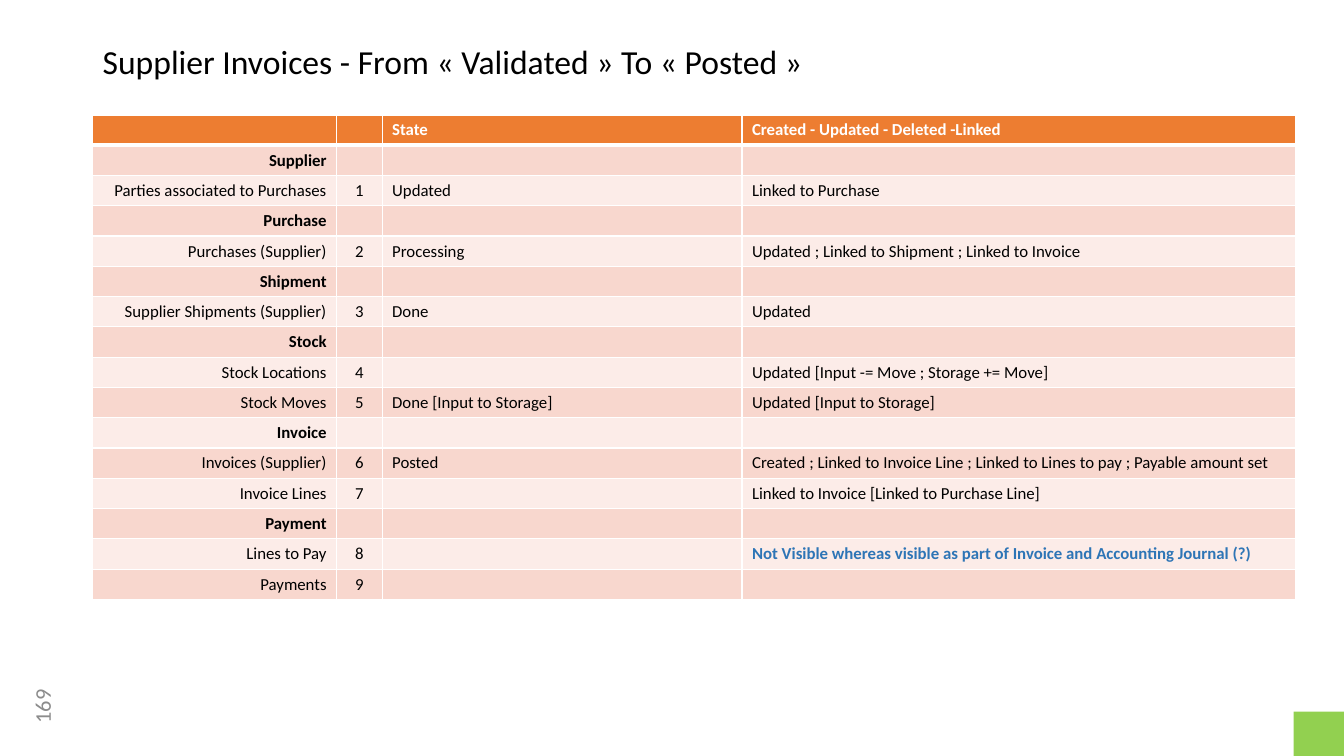
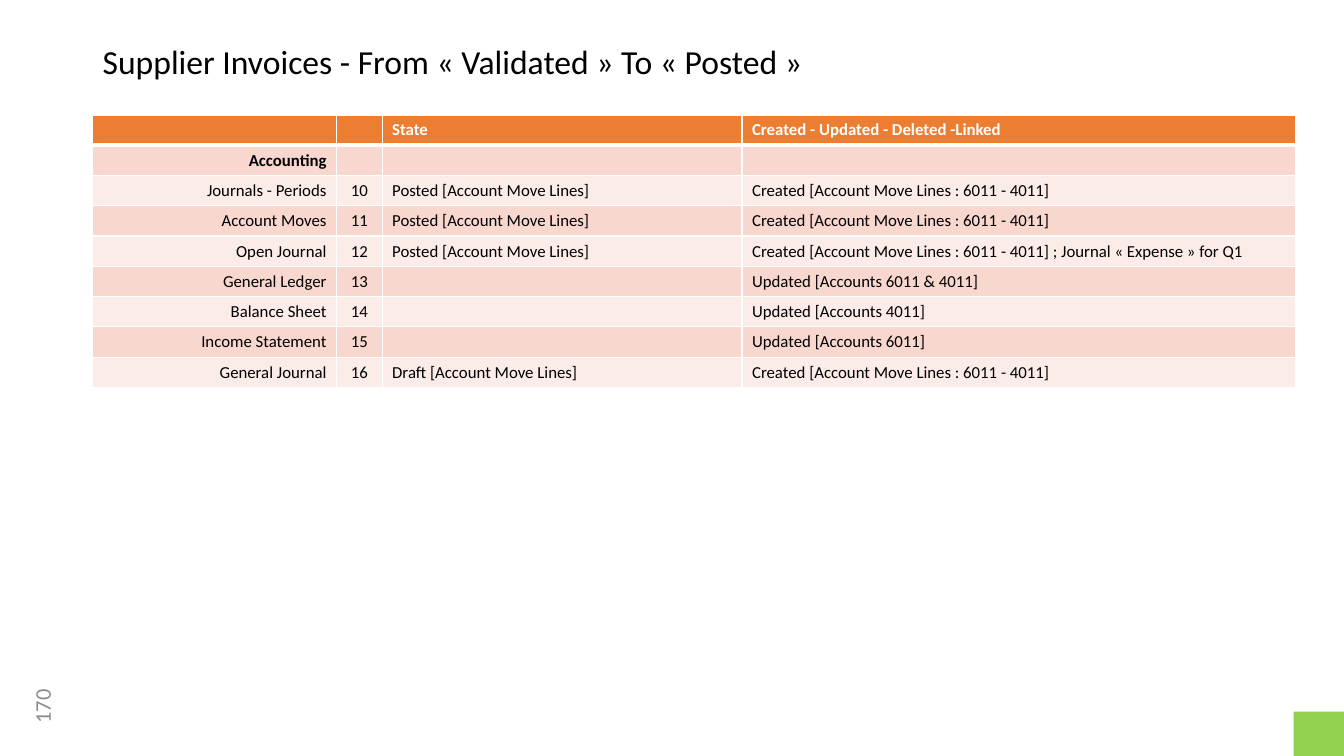
import pptx
import pptx.dml.color
import pptx.enum.shapes
import pptx.enum.text
import pptx.oxml.ns
import pptx.util
from lxml import etree
from pptx.util import Inches

FONT = "Calibri"
BLACK, WHITE, GREY = "000000", "FFFFFF", "8C8C8C"
BLUE, GREEN, ORANGE = "2E75B6", "92D050", "ED7D31"
BANDS = ["FCECE8", "F8D7CE"]

TITLE = "Supplier Invoices - From « Validated » To « Posted »"
HEADER = ["", "", "State", "Created - Updated - Deleted -Linked"]
COLUMN_WIDTHS = [2.42, 0.45, 3.57, 5.49]
ROW_HEIGHT = 0.3
LEFT = 0.92
FIRST_PAGE = 169

ALIGN = pptx.enum.text.PP_ALIGN
COLUMN_ALIGNS = [ALIGN.RIGHT, ALIGN.CENTER, ALIGN.LEFT, ALIGN.LEFT]

OPEN_QUESTION = "Not Visible whereas visible as part of Invoice and Accounting Journal (?)"
MOVE_LINES = "[Account Move Lines]"
CREATED_LINES = "Created [Account Move Lines : 6011 - 4011]"

# A row is either a section name alone or a record with its state and changes.
PAGES = [
    [
        ("Supplier",),
        ("Parties associated to Purchases", "Updated", "Linked to Purchase"),
        ("Purchase",),
        ("Purchases (Supplier)", "Processing",
         "Updated ; Linked to Shipment ; Linked to Invoice"),
        ("Shipment",),
        ("Supplier Shipments (Supplier)", "Done", "Updated"),
        ("Stock",),
        ("Stock Locations", "", "Updated [Input -= Move ; Storage += Move]"),
        ("Stock Moves", "Done [Input to Storage]", "Updated [Input to Storage]"),
        ("Invoice",),
        ("Invoices (Supplier)", "Posted",
         "Created ; Linked to Invoice Line ; Linked to Lines to pay ; Payable amount set"),
        ("Invoice Lines", "", "Linked to Invoice [Linked to Purchase Line]"),
        ("Payment",),
        ("Lines to Pay", "", OPEN_QUESTION),
        ("Payments", "", ""),
    ],
    [
        ("Accounting",),
        ("Journals - Periods", f"Posted {MOVE_LINES}", CREATED_LINES),
        ("Account Moves", f"Posted {MOVE_LINES}", CREATED_LINES),
        ("Open Journal", f"Posted {MOVE_LINES}",
         f"{CREATED_LINES} ; Journal « Expense » for Q1"),
        ("General Ledger", "", "Updated [Accounts 6011 & 4011]"),
        ("Balance Sheet", "", "Updated [Accounts 4011]"),
        ("Income Statement", "", "Updated [Accounts 6011]"),
        ("General Journal", f"Draft {MOVE_LINES}", CREATED_LINES),
    ],
]


def rgb(code):
    return pptx.dml.color.RGBColor.from_string(code)


def write(frame, text, size, color, align=ALIGN.LEFT, bold=False):
    """Fill the first paragraph; an empty one still keeps its text size."""
    para = frame.paragraphs[0]
    para.alignment = align
    if text:
        span = para.add_run()
        span.text = text
        span.font.name = FONT
        span.font.size = pptx.util.Pt(size)
        span.font.bold = bold
        span.font.color.rgb = rgb(color)
    else:
        etree.SubElement(para._p, pptx.oxml.ns.qn("a:endParaRPr"), sz=str(size * 100))
    return para


deck = pptx.Presentation()
deck.slide_width = Inches(13.33)
deck.slide_height = Inches(7.5)
record_number = 0

for page_number, records in enumerate(PAGES, FIRST_PAGE):
    page = deck.slides.add_slide(deck.slide_layouts[6])

    title = page.shapes.add_textbox(Inches(LEFT), Inches(0.4), Inches(11.5), Inches(0.51))
    title.text_frame.word_wrap = True
    write(title.text_frame, TITLE, 24, BLACK).line_spacing = 0.9

    corner = page.shapes.add_shape(
        pptx.enum.shapes.MSO_SHAPE.RECTANGLE,
        Inches(12.83), Inches(7.06), Inches(0.51), Inches(0.44))
    corner.shadow.inherit = False
    corner.fill.solid()
    corner.fill.fore_color.rgb = rgb(GREEN)
    corner.line.fill.background()

    number_box = page.shapes.add_textbox(Inches(0.04), Inches(6.81), Inches(0.75), Inches(0.4))
    number_box.rotation = 270
    number_box.text_frame.word_wrap = True
    number_box.text_frame.vertical_anchor = pptx.enum.text.MSO_ANCHOR.MIDDLE
    write(number_box.text_frame, str(page_number), 16, GREY, ALIGN.CENTER)

    rows = [HEADER]
    for record in records:
        if len(record) == 1:
            rows.append([record[0], "", "", ""])
        else:
            record_number += 1
            name, state, changes = record
            rows.append([name, str(record_number), state, changes])

    table = page.shapes.add_table(
        len(rows), len(COLUMN_WIDTHS), Inches(LEFT), Inches(1.14),
        Inches(sum(COLUMN_WIDTHS)), Inches(ROW_HEIGHT * len(rows))).table
    table.first_row = False
    table.horz_banding = False
    for column, width in zip(table.columns, COLUMN_WIDTHS):
        column.width = Inches(width)

    for row_index, texts in enumerate(rows):
        table.rows[row_index].height = Inches(ROW_HEIGHT)
        is_header = row_index == 0
        is_section = not is_header and not texts[1]
        for column_index, text in enumerate(texts):
            cell = table.cell(row_index, column_index)
            is_question = text == OPEN_QUESTION
            color = WHITE if is_header else BLUE if is_question else BLACK
            write(cell.text_frame, text, 12, color, COLUMN_ALIGNS[column_index],
                  is_header or is_section or is_question)

            properties = cell._tc.get_or_add_tcPr()
            border_widths = {"L": 1, "R": 1, "T": 3 if row_index == 1 else 1,
                             "B": 3 if is_header else 1}
            for side, points in border_widths.items():
                border = etree.SubElement(
                    properties, pptx.oxml.ns.qn(f"a:ln{side}"), w=str(pptx.util.Pt(points)))
                border_fill = etree.SubElement(border, pptx.oxml.ns.qn("a:solidFill"))
                etree.SubElement(border_fill, pptx.oxml.ns.qn("a:srgbClr"), val=WHITE)
            cell.fill.solid()
            cell.fill.fore_color.rgb = rgb(ORANGE if is_header else BANDS[row_index % 2])

deck.save("out.pptx")
